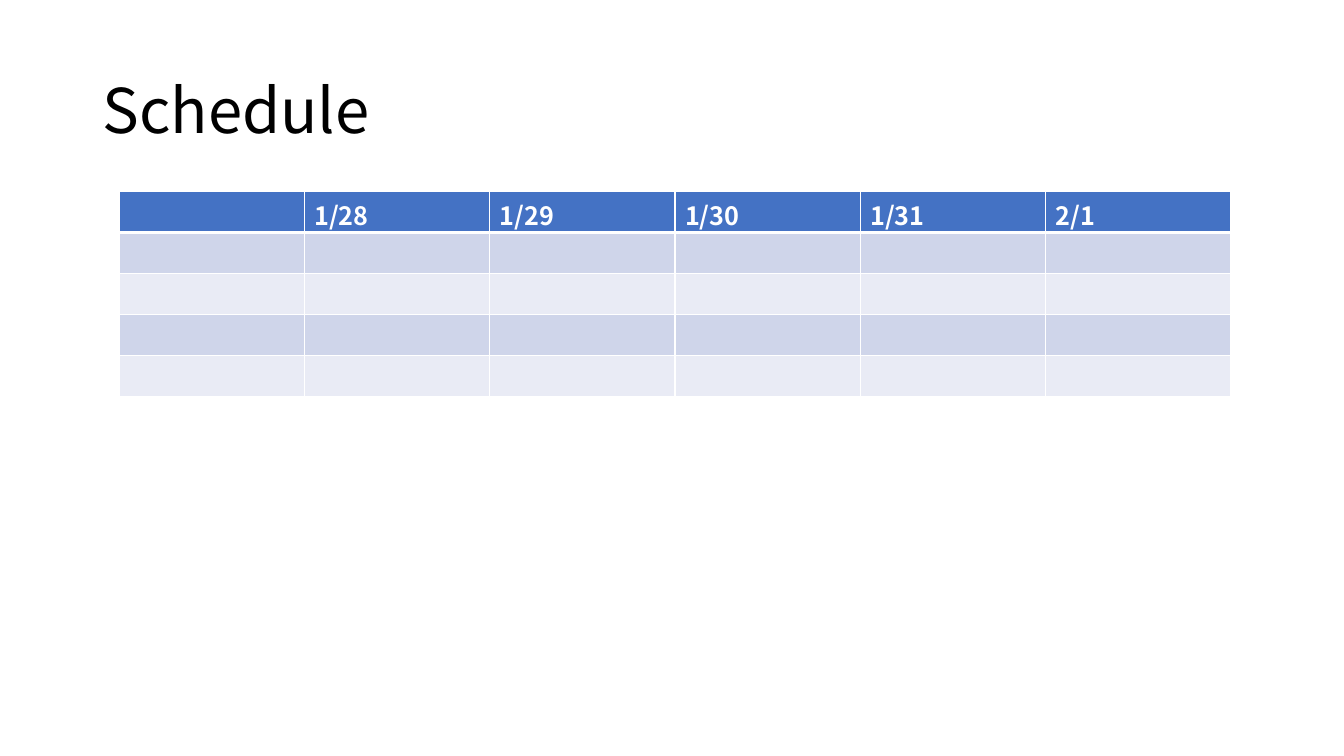
import dataclasses

import lxml.etree
import pptx
import pptx.dml.color
import pptx.enum.text
import pptx.oxml.ns
import pptx.util


@dataclasses.dataclass(frozen=True)
class Theme:
    """Colours, font and type sizes of the slide."""
    font: str = "Noto Sans CJK JP"
    ink: str = "000000"
    paper: str = "FFFFFF"
    header: str = "4472C4"
    bands: tuple = ("CFD5EA", "E9EBF5")
    title_size: int = 44
    cell_size: int = 18
    rule: int = 1
    header_rule: int = 3


THEME = Theme()
WIDTH, HEIGHT = 13.33, 7.5
TITLE_BOX = (0.92, 0.4, 11.5, 1.45)
TABLE_BOX = (1.18, 1.9, 11.03, 2.03)
DAYS = ("", "1/28", "1/29", "1/30", "1/31", "2/1")
ROWS = 5


def rgb(color):
    """Turn a hex string into a colour."""
    return pptx.dml.color.RGBColor.from_string(color)


def inches(box):
    """Turn a box in inches into lengths."""
    return [pptx.util.Inches(v) for v in box]


def add_run(p, text, size, color, bold=False):
    """Add one styled run to a paragraph."""
    r = p.add_run()
    r.text = text
    r.font.name = THEME.font
    r.font.size = pptx.util.Pt(size)
    r.font.bold = bold
    r.font.color.rgb = rgb(color)


def sub(parent, tag, **attributes):
    """Add a DrawingML child element."""
    return lxml.etree.SubElement(parent, pptx.oxml.ns.qn(tag), attributes)


def set_borders(cell, top, bottom):
    """Draw the four rules of a cell."""
    tcPr = cell._tc.get_or_add_tcPr()
    widths = {"L": THEME.rule, "R": THEME.rule, "T": top, "B": bottom}
    for side, width in widths.items():
        ln = sub(tcPr, f"a:ln{side}", w=str(pptx.util.Pt(width)))
        sub(sub(ln, "a:solidFill"), "a:srgbClr", val=THEME.paper)


def set_empty_style(p):
    """Give an empty paragraph the font and size of the table."""
    end = sub(p._p, "a:endParaRPr", sz=str(THEME.cell_size * 100))
    sub(end, "a:latin", typeface=THEME.font)
    sub(end, "a:ea", typeface=THEME.font)


def add_title(s, box, text):
    """Place the slide title, centred vertically in its box."""
    tf = s.shapes.add_textbox(*inches(box)).text_frame
    tf.word_wrap = True
    tf.vertical_anchor = pptx.enum.text.MSO_ANCHOR.MIDDLE
    p = tf.paragraphs[0]
    p.line_spacing = 0.9
    add_run(p, text, THEME.title_size, THEME.ink)


def add_schedule(s, box, days, rows):
    """Place a banded table with one column for each day."""
    x, y, w, h = inches(box)
    table = s.shapes.add_table(rows, len(days), x, y, w, h).table
    for i in range(rows):
        fill = THEME.bands[(i - 1) % 2] if i else THEME.header
        top = THEME.header_rule if i == 1 else THEME.rule
        bottom = THEME.header_rule if i == 0 else THEME.rule
        for j, day in enumerate(days):
            cell = table.cell(i, j)
            set_borders(cell, top, bottom)
            cell.fill.solid()
            cell.fill.fore_color.rgb = rgb(fill)
            p = cell.text_frame.paragraphs[0]
            if i == 0 and day:
                add_run(p, day, THEME.cell_size, THEME.paper, bold=True)
            else:
                set_empty_style(p)


def main():
    """Build the schedule slide and save it."""
    prs = pptx.Presentation()
    prs.slide_width, prs.slide_height = inches((WIDTH, HEIGHT))
    s = prs.slides.add_slide(prs.slide_layouts[6])
    add_title(s, TITLE_BOX, "Schedule")
    add_schedule(s, TABLE_BOX, DAYS, ROWS)
    prs.save("out.pptx")


if __name__ == "__main__":
    main()
